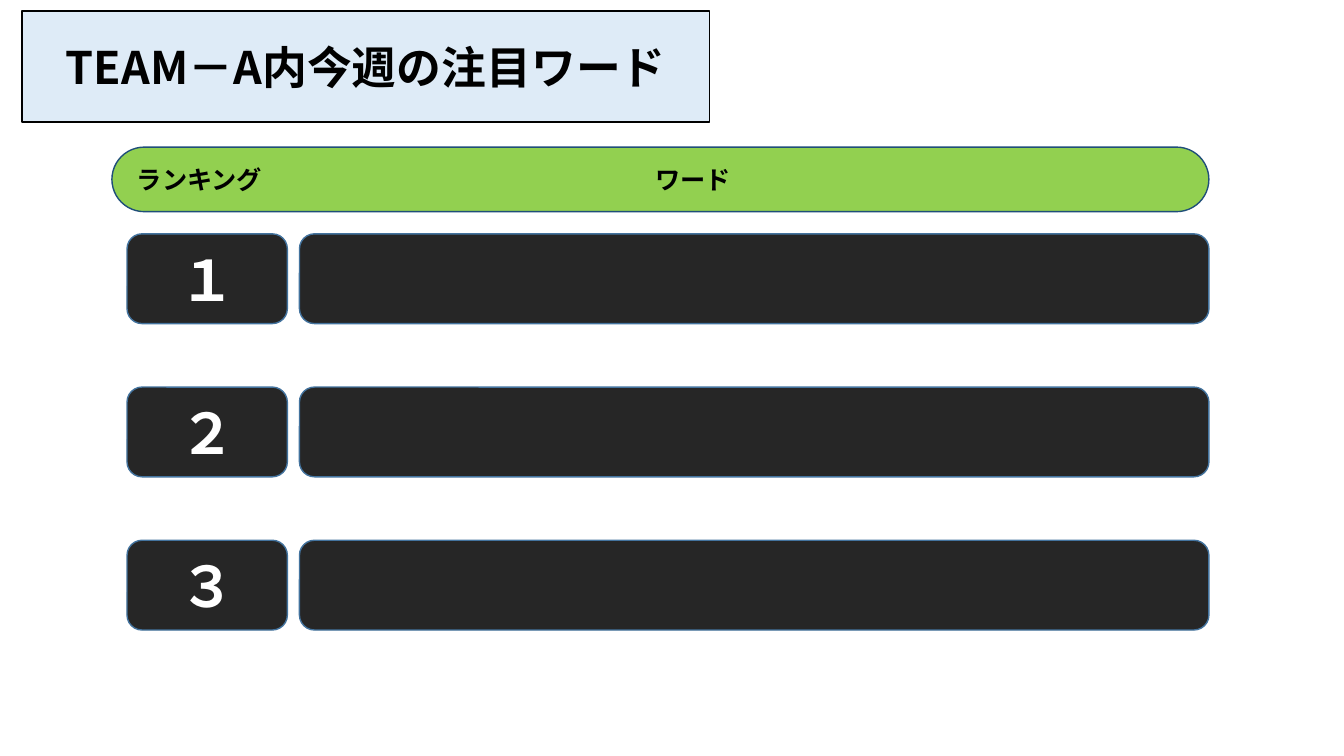
from dataclasses import dataclass

from lxml import etree
from pptx import Presentation
from pptx.dml.color import RGBColor
from pptx.enum.shapes import MSO_SHAPE
from pptx.enum.text import MSO_ANCHOR, MSO_AUTO_SIZE, PP_ALIGN
from pptx.oxml.ns import qn
from pptx.shapes.autoshape import Shape
from pptx.slide import Slide
from pptx.util import Inches, Pt

ROUNDED = MSO_SHAPE.ROUNDED_RECTANGLE
MIDDLE = MSO_ANCHOR.MIDDLE
TOP = MSO_ANCHOR.TOP
NO_AUTOFIT = MSO_AUTO_SIZE.NONE
CENTER = PP_ALIGN.CENTER
LEFT = PP_ALIGN.LEFT

FONT = "Noto Sans CJK JP"
BLACK = RGBColor(0x00, 0x00, 0x00)
WHITE = RGBColor(0xFF, 0xFF, 0xFF)
PALE_BLUE = RGBColor(0xDE, 0xEB, 0xF7)
GREEN = RGBColor(0x92, 0xD0, 0x50)
NAVY = RGBColor(0x1F, 0x4E, 0x79)
CHARCOAL = RGBColor(0x26, 0x26, 0x26)
STEEL_BLUE = RGBColor(0x43, 0x73, 0x9E)

RANKS = ("１", "２", "３")
FIRST_ROW_TOP = 2.32
ROW_PITCH = 1.52
ROW_HEIGHT = 0.89
RANK_LEFT, RANK_WIDTH = 1.26, 1.59
WORD_LEFT, WORD_WIDTH = 2.97, 9.02


@dataclass(frozen=True)
class Box:
    """Position and size in inches."""
    left: float
    top: float
    width: float
    height: float

    def lengths(self) -> tuple[Inches, ...]:
        """Return left, top, width and height as lengths."""
        return tuple(Inches(v) for v in (self.left, self.top, self.width, self.height))


@dataclass(frozen=True)
class Heading:
    """A column heading and its place."""
    text: str
    box: Box


HEADINGS = (
    Heading("ランキング", Box(1.26, 1.58, 1.46, 0.4)),
    Heading("ワード", Box(6.4, 1.58, 0.96, 0.4)),
)


def paint(shape: Shape, fill: RGBColor, outline: RGBColor) -> None:
    """Give a shape a solid fill and a one-point outline."""
    shape.fill.solid()
    shape.fill.fore_color.rgb = fill
    shape.line.color.rgb = outline
    shape.line.width = Pt(1)


def write(shape: Shape, text: str, size: int, color: RGBColor,
          align: PP_ALIGN = CENTER, anchor: MSO_ANCHOR = MIDDLE,
          wrap: bool = True) -> None:
    """Put one bold line of text in a shape."""
    frame = shape.text_frame
    frame_format = {"word_wrap": wrap, "auto_size": NO_AUTOFIT, "vertical_anchor": anchor}
    for attribute, value in frame_format.items():
        setattr(frame, attribute, value)
    paragraph = frame.paragraphs[0]
    paragraph.alignment = align
    paragraph.line_spacing = 1.0
    run = paragraph.add_run()
    run.text = text
    run.font.color.rgb = color
    for attribute, value in {"name": FONT, "size": Pt(size), "bold": True}.items():
        setattr(run.font, attribute, value)
    east_asian = etree.SubElement(run._r.get_or_add_rPr(), qn("a:ea"))
    east_asian.set("typeface", FONT)


def add_panel(slide: Slide, box: Box, fill: RGBColor, outline: RGBColor) -> Shape:
    """Add a rounded panel without a shadow."""
    panel = slide.shapes.add_shape(ROUNDED, *box.lengths())
    panel.shadow.inherit = False
    paint(panel, fill, outline)
    return panel


def add_title(slide: Slide) -> None:
    """Place and format the slide title."""
    title = slide.shapes.title
    title.left, title.top, title.width, title.height = Box(0.22, 0.11, 6.82, 1.1).lengths()
    paint(title, PALE_BLUE, BLACK)
    write(title, "TEAM－A内今週の注目ワード", 32, BLACK)


def add_header(slide: Slide) -> None:
    """Add the green header bar with its column headings."""
    bar = add_panel(slide, Box(1.11, 1.46, 10.88, 0.64), GREEN, NAVY)
    bar.adjustments[0] = 0.5
    for heading in HEADINGS:
        label = slide.shapes.add_textbox(*heading.box.lengths())
        write(label, heading.text, 18, BLACK, LEFT, TOP, wrap=False)


def add_ranking(slide: Slide) -> None:
    """Add a rank panel and an empty word panel for each rank."""
    for index, rank in enumerate(RANKS):
        top = FIRST_ROW_TOP + index * ROW_PITCH
        rank_panel = add_panel(slide, Box(RANK_LEFT, top, RANK_WIDTH, ROW_HEIGHT),
                               CHARCOAL, STEEL_BLUE)
        write(rank_panel, rank, 40, WHITE)
        add_panel(slide, Box(WORD_LEFT, top, WORD_WIDTH, ROW_HEIGHT), CHARCOAL, STEEL_BLUE)


def main() -> None:
    """Build and save the slide."""
    deck = Presentation()
    deck.slide_width, deck.slide_height = Inches(13.33), Inches(7.5)
    slide = deck.slides.add_slide(deck.slide_layouts.get_by_name("Title Only"))
    add_title(slide)
    add_header(slide)
    add_ranking(slide)
    deck.save("out.pptx")


main()
